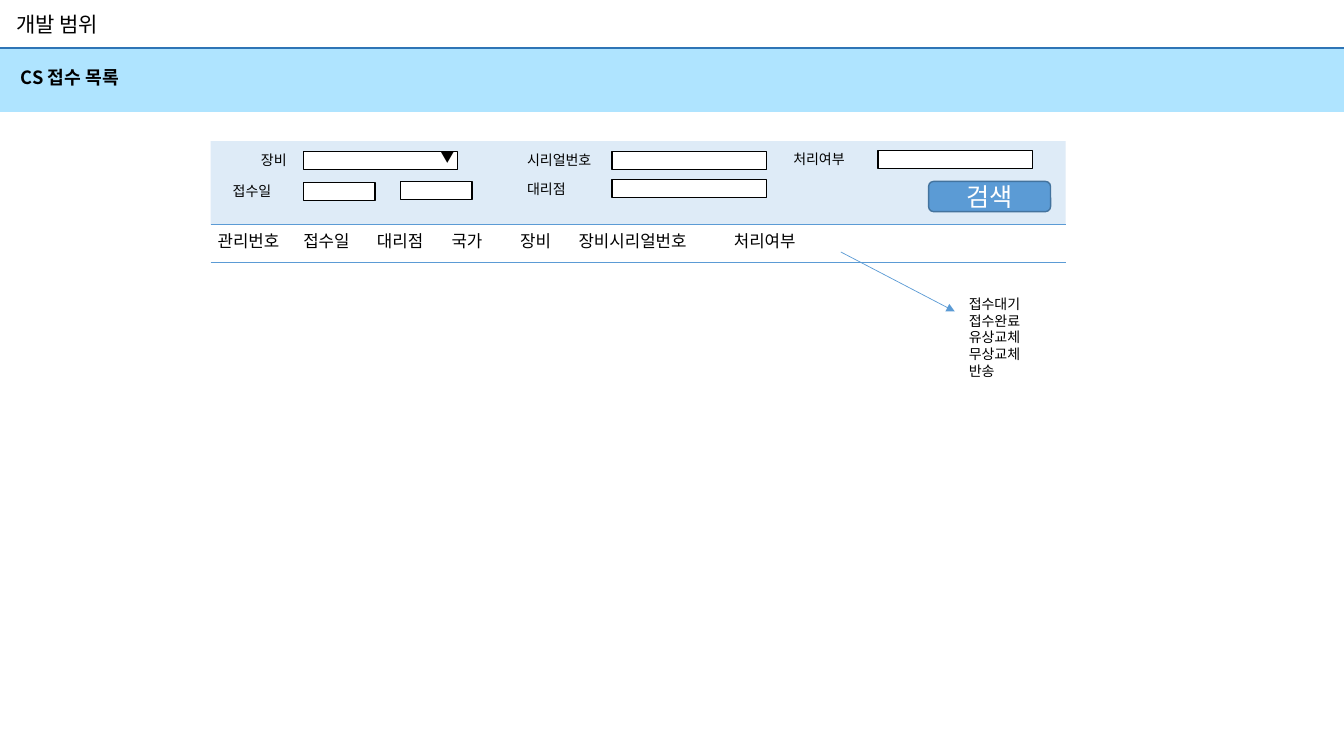
from lxml.etree import SubElement
from pptx import Presentation
from pptx.dml.color import RGBColor
from pptx.enum.shapes import MSO_CONNECTOR, MSO_SHAPE
from pptx.enum.text import MSO_ANCHOR, MSO_AUTO_SIZE, PP_ALIGN
from pptx.oxml import parse_xml
from pptx.oxml.ns import nsdecls, qn
from pptx.util import Inches, Pt

BLACK = RGBColor(0x00, 0x00, 0x00)
WHITE = RGBColor(0xFF, 0xFF, 0xFF)
BLUE = RGBColor(0x5B, 0x9B, 0xD5)
DARK_BLUE = RGBColor(0x43, 0x73, 0x9E)
RULE_BLUE = RGBColor(0x2E, 0x75, 0xB6)
BANNER_BLUE = RGBColor(0xAF, 0xE4, 0xFF)
PANEL_BLUE = RGBColor(0xDE, 0xEB, 0xF7)


class Screen:
    """Draws the elements of a screen mock-up on one slide in one style."""

    font = "Noto Sans CJK KR"

    def __init__(self, slide):
        self.slide = slide

    def set_text(self, frame, text, size, color=BLACK, bold=False,
                 align=PP_ALIGN.LEFT, anchor=MSO_ANCHOR.TOP, wrap=False):
        frame.text = text
        frame.auto_size = MSO_AUTO_SIZE.NONE
        frame.word_wrap = wrap
        frame.vertical_anchor = anchor
        for paragraph in frame.paragraphs:
            paragraph.alignment = align
            font = paragraph.font
            font.size, font.bold = Pt(size), bold
            font.color.rgb = color
            font.name = self.font
            defaults = paragraph._p.get_or_add_pPr().get_or_add_defRPr()
            SubElement(defaults, qn("a:ea"), typeface=self.font)

    def title(self, text, left, top, width, height, size):
        title = self.slide.shapes.title
        title.left, title.top = Inches(left), Inches(top)
        title.width, title.height = Inches(width), Inches(height)
        self.set_text(title.text_frame, text, size)

    def text(self, text, left, top, width, height, size=10, **style):
        label = self.slide.shapes.add_textbox(
            Inches(left), Inches(top), Inches(width), Inches(height))
        self.set_text(label.text_frame, text, size, **style)
        return label.text_frame

    def columns(self, names, offsets, left, top, width, height, size):
        frame = self.text("\t".join(names), left, top, width, height, size, wrap=True)
        tabs = parse_xml(f"<a:tabLst {nsdecls('a')}/>")
        for offset in offsets:
            SubElement(tabs, qn("a:tab"), pos=str(Inches(offset)), algn="l")
        frame.paragraphs[0]._p.get_or_add_pPr().insert(0, tabs)

    def box(self, left, top, width, height, fill, line=None, kind=MSO_SHAPE.RECTANGLE):
        box = self.slide.shapes.add_shape(
            kind, Inches(left), Inches(top), Inches(width), Inches(height))
        box.shadow.inherit = False
        box.fill.solid()
        box.fill.fore_color.rgb = fill
        if line is None:
            box.line.fill.background()
        else:
            box.line.color.rgb = line
            box.line.width = Pt(1)
        return box

    def field(self, left, top, width=1.53):
        self.box(left, top, width, 0.18, WHITE, BLACK)

    def button(self, text, left, top, width, height):
        button = self.box(left, top, width, height, BLUE, DARK_BLUE,
                          MSO_SHAPE.ROUNDED_RECTANGLE)
        self.set_text(button.text_frame, text, 18, WHITE,
                      align=PP_ALIGN.CENTER, anchor=MSO_ANCHOR.MIDDLE)

    def line(self, x1, y1, x2, y2, color=BLUE, width=0.5, arrow=False):
        line = self.slide.shapes.add_connector(
            MSO_CONNECTOR.STRAIGHT, Inches(x1), Inches(y1), Inches(x2), Inches(y2))
        line.line.color.rgb = color
        line.line.width = Pt(width)
        properties = line._element.spPr
        if arrow:
            SubElement(properties.find(qn("a:ln")), qn("a:tailEnd"), type="triangle")
        SubElement(properties, qn("a:effectLst"))


presentation = Presentation()
presentation.slide_width, presentation.slide_height = Inches(13.33), Inches(7.5)
screen = Screen(presentation.slides.add_slide(presentation.slide_layouts[5]))

screen.title("개발 범위", 0.06, 0.06, 1.11, 0.35, 15)
screen.box(0, 0.48, 13.33, 0.63, BANNER_BLUE)
screen.line(0, 0.48, 13.33, 0.48, RULE_BLUE, 1.5)
screen.text("CS 접수 목록", 0.11, 0.61, 1.28, 0.32, 13, bold=True)

screen.box(2.09, 1.4, 8.48, 0.83, PANEL_BLUE)
for label, left, top, width in [
    ("장비", 2.49, 1.45, 0.48),
    ("시리얼번호", 5.13, 1.45, 0.9),
    ("처리여부", 7.77, 1.44, 0.76),
    ("접수일", 2.21, 1.76, 0.62),
    ("대리점", 5.13, 1.74, 0.62),
]:
    screen.text(label, left, top, width, 0.27)
for left, top in [(3.01, 1.5), (6.07, 1.5), (8.71, 1.49), (6.07, 1.78)]:
    screen.field(left, top)
for left, top in [(3.01, 1.81), (3.97, 1.8)]:
    screen.field(left, top, 0.71)
screen.text("▼", 4.27, 1.42, 0.26, 0.27)
screen.button("검색", 9.21, 1.8, 1.21, 0.3)

for rule_top in (2.23, 2.6):
    screen.line(2.09, rule_top, 10.57, rule_top)
screen.columns(
    ["관리번호", "접수일", "대리점", "국가", "장비", "장비시리얼번호", "처리여부"],
    [0.85, 1.58, 2.32, 3.0, 3.58, 5.12], 2.06, 2.24, 6.85, 0.3, 12)

screen.line(8.34, 2.5, 9.47, 3.09, arrow=True)
statuses = ["접수대기", "접수완료", "유상교체", "무상교체", "반송"]
screen.text("\n".join(statuses), 9.51, 2.88, 2.11, 0.94, wrap=True)

presentation.save("out.pptx")
